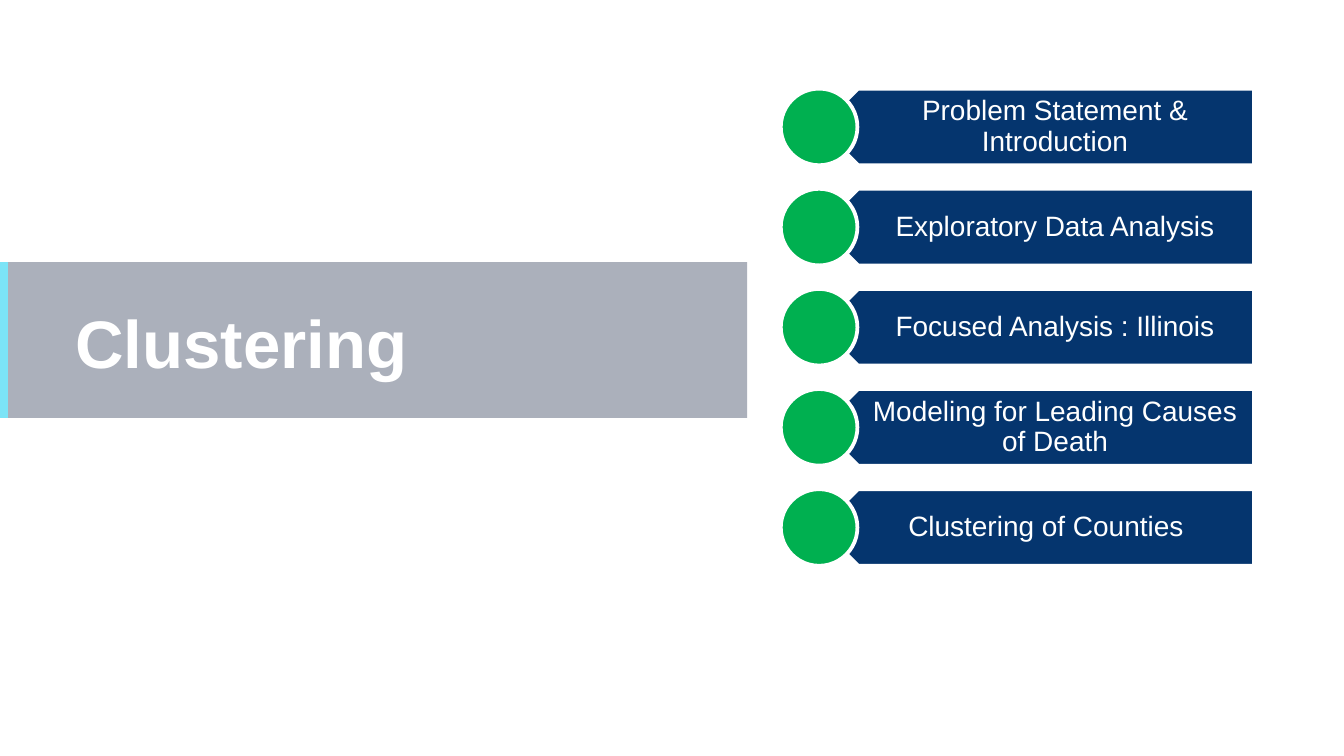
"""Build the clustering section slide with its agenda list."""
from dataclasses import dataclass

from lxml.etree import SubElement
from pptx import Presentation
from pptx.dml.color import RGBColor
from pptx.enum.shapes import MSO_SHAPE
from pptx.enum.text import MSO_ANCHOR, MSO_AUTO_SIZE, PP_ALIGN
from pptx.oxml import parse_xml
from pptx.oxml.ns import nsdecls, qn
from pptx.util import Emu, Pt

PX = 4572
WHITE, NAVY, GREEN = "FFFFFF", "05356E", "00B050"
SLATE, CYAN = "001033", "7BE4F7"
TOP, STEP, SIZE = 132, 149, 114


@dataclass
class Box:
    """Place and size in px."""
    left: int
    top: int
    width: int
    height: int

    def emu(self) -> list[Emu]:
        """Give the four lengths in EMU."""
        return [px(n) for n in (self.left, self.top, self.width, self.height)]


@dataclass
class Item:
    """Agenda entry with its right text inset."""
    text: str
    inset: int = 24


ITEMS = [
    Item("Problem Statement & Introduction"),
    Item("Exploratory Data Analysis"),
    Item("Focused Analysis : Illinois"),
    Item("Modeling for Leading Causes of Death"),
    Item("Clustering of Counties", 51),
]


def px(count: int) -> Emu:
    """Turn px into EMU."""
    return Emu(count * PX)


def color(code: str) -> RGBColor:
    """Turn a hex string into a colour."""
    return RGBColor.from_string(code)


def draw(shapes, kind: MSO_SHAPE, box: Box, fill: str, edge: str | None = None):
    """Add a filled shape, with an outline if an edge colour is given."""
    shape = shapes.add_shape(kind, *box.emu())
    shape.shadow.inherit = False
    shape.fill.solid()
    shape.fill.fore_color.rgb = color(fill)
    if edge:
        shape.line.color.rgb = color(edge)
        shape.line.width = Pt(2)
    else:
        shape.line.fill.background()
    return shape


def write(frame, text: str, size: int, align: PP_ALIGN, pads: list[int]):
    """Fill a text frame and format its one run."""
    frame.text = text
    frame.word_wrap = True
    frame.auto_size = MSO_AUTO_SIZE.NONE
    frame.vertical_anchor = MSO_ANCHOR.MIDDLE
    (frame.margin_left, frame.margin_top,
     frame.margin_right, frame.margin_bottom) = [px(n) for n in pads]
    para = frame.paragraphs[0]
    para.alignment = align
    para.line_spacing = 0.9
    run = para.runs[0]
    run.font.name = "Arial"
    run.font.size = Pt(size)
    run.font.color.rgb = color(WHITE)
    return run


def band(shapes) -> None:
    """Draw the translucent title band and its accent bar."""
    plate = draw(shapes, MSO_SHAPE.RECTANGLE, Box(0, 390, 1112, 232), SLATE)
    tint = plate._element.spPr.find(qn("a:solidFill"))[0]
    SubElement(tint, qn("a:alpha"), val="33000")
    draw(shapes, MSO_SHAPE.RECTANGLE, Box(0, 390, 12, 232), CYAN)


def head(slide) -> None:
    """Set the title, above the band, with a soft text shadow."""
    title = slide.shapes.title
    title.left, title.top, title.width, title.height = Box(112, 444, 1774, 144).emu()
    run = write(title.text_frame, "Clustering", 36, PP_ALIGN.LEFT, [0, 0, 0, 0])
    run.font.bold = True
    glow = parse_xml(
        f'<a:effectLst {nsdecls("a")}><a:outerShdw blurRad="38100" dist="38100" '
        'dir="2700000"><a:srgbClr val="000000"><a:alpha val="43000"/>'
        '</a:srgbClr></a:outerShdw></a:effectLst>')
    run._r.rPr.find(qn("a:solidFill")).addnext(glow)
    slide.shapes._spTree.append(title._element)


def entry(shapes, item: Item, top: int) -> None:
    """Draw one agenda row: arrow, label and dot."""
    arrow = draw(shapes, MSO_SHAPE.PENTAGON, Box(1220, top, 646, SIZE), NAVY, WHITE)
    arrow.rotation = 180
    label = shapes.add_textbox(*Box(1248, top, 618, SIZE).emu())
    write(label.text_frame, item.text, 15, PP_ALIGN.CENTER, [50, 12, item.inset, 12])
    draw(shapes, MSO_SHAPE.OVAL, Box(1162, top, SIZE, SIZE), GREEN, WHITE)


def main() -> None:
    """Build and save the slide."""
    deck = Presentation()
    deck.slide_width, deck.slide_height = px(2000), px(1125)
    slide = deck.slides.add_slide(deck.slide_layouts[0])
    sub = slide.placeholders[1]._element
    sub.getparent().remove(sub)
    band(slide.shapes)
    head(slide)
    group = slide.shapes.add_group_shape()
    for row, item in enumerate(ITEMS):
        entry(group.shapes, item, TOP + row * STEP)
    deck.save("out.pptx")


if __name__ == "__main__":
    main()
